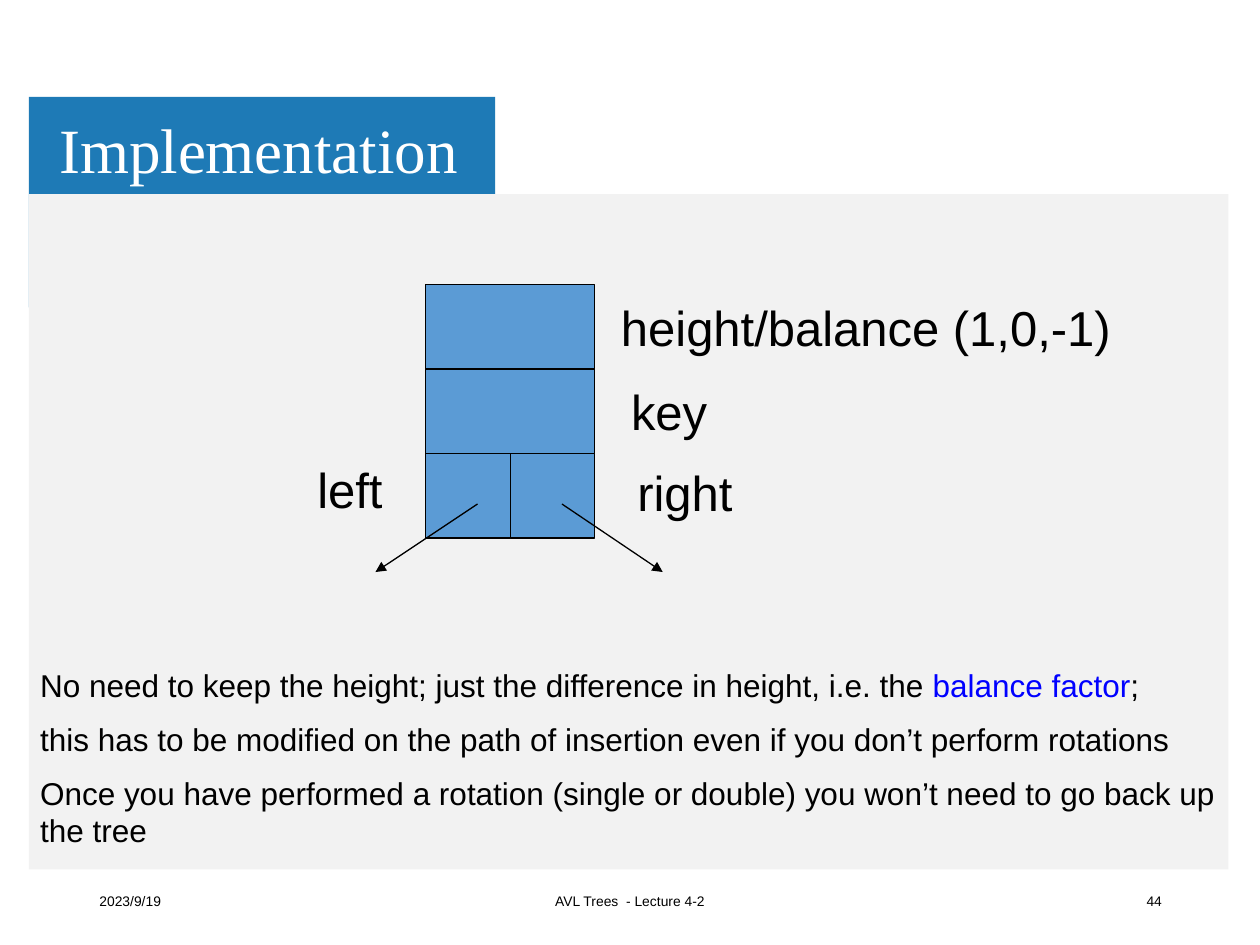
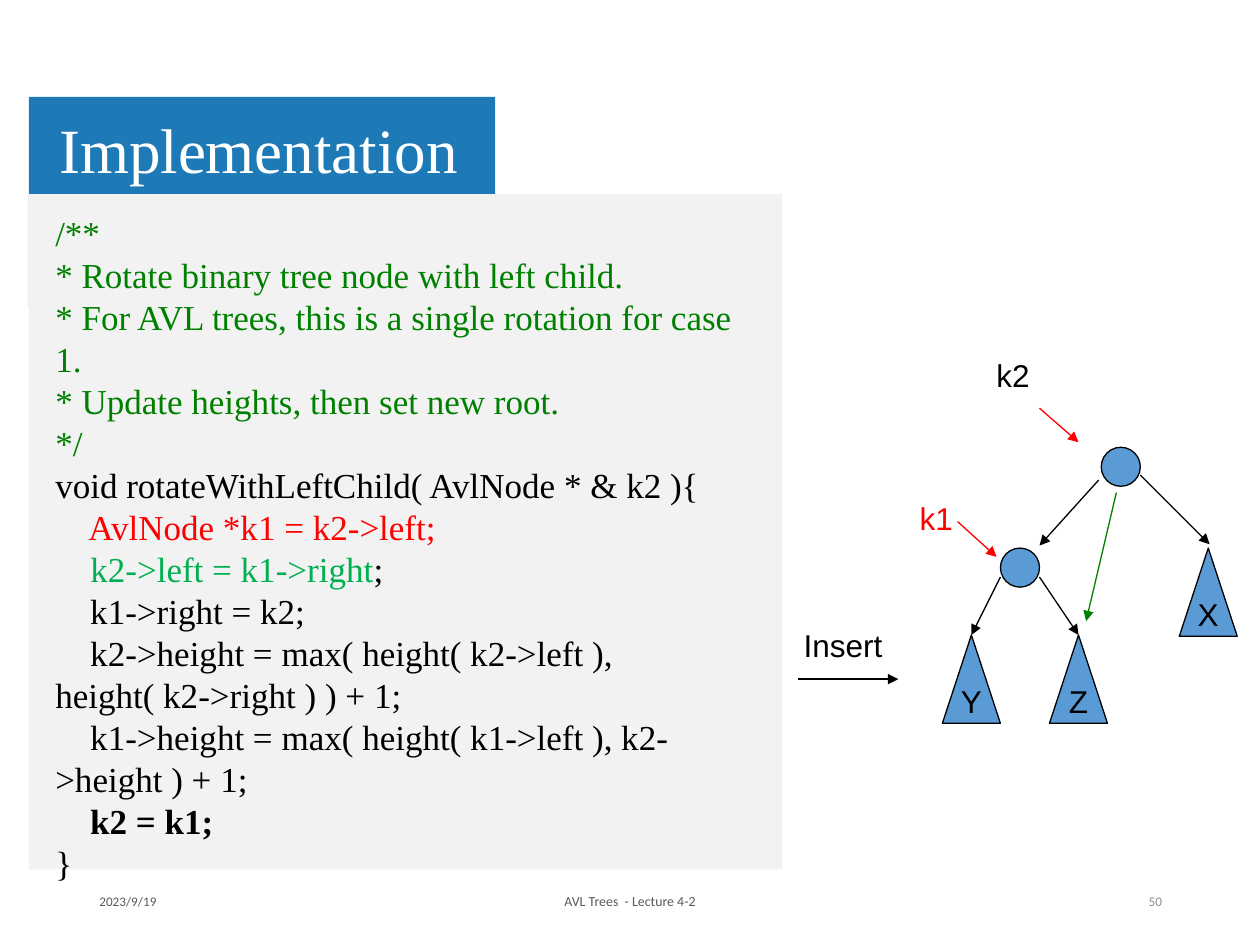
"""Build two AVL tree slides: the node layout and the single rotation code."""
from lxml import etree
from pptx import Presentation
from pptx import util as u
from pptx.dml.color import RGBColor
from pptx.enum import shapes, text
from pptx.oxml.ns import qn

PX = u.Inches(1) // 100
BLACK = RGBColor(0x00, 0x00, 0x00)
WHITE = RGBColor(0xFF, 0xFF, 0xFF)
BAND_BLUE = RGBColor(0x1E, 0x7A, 0xB6)
PANEL_GRAY = RGBColor(0xF2, 0xF2, 0xF2)
NODE_BLUE = RGBColor(0x5B, 0x9B, 0xD5)
LINK_BLUE = RGBColor(0x00, 0x00, 0xFF)
RED = RGBColor(0xFF, 0x00, 0x00)
COMMENT_GREEN = RGBColor(0x00, 0x80, 0x00)
CODE_GREEN = RGBColor(0x00, 0xB0, 0x50)
FOOTER_GRAY = RGBColor(0x59, 0x59, 0x59)
NUMBER_GRAY = RGBColor(0x8C, 0x8C, 0x8C)
SERIF, SANS, FOOTER_SANS = "Times New Roman", "Arial", "Calibri"
LEFT, CENTER, RIGHT = text.PP_ALIGN.LEFT, text.PP_ALIGN.CENTER, text.PP_ALIGN.RIGHT
RECTANGLE = shapes.MSO_SHAPE.RECTANGLE
OVAL = shapes.MSO_SHAPE.OVAL
TRIANGLE = shapes.MSO_SHAPE.ISOSCELES_TRIANGLE
CELL = 67
NODE = 31
SUBTREE_WIDTH, SUBTREE_HEIGHT = 46, 70

NOTES = [
    [("No need to keep the height; just the difference in height, i.e. the ", BLACK),
     ("balance factor", LINK_BLUE), (";", BLACK)],
    [("this has to be modified on the path of insertion even if you don’t perform rotations", BLACK)],
    [("Once you have performed a rotation (single or double) you won’t need to go back up the tree", BLACK)],
]
CODE = [
    [("/**", COMMENT_GREEN)],
    [("* Rotate binary tree node with left child.", COMMENT_GREEN)],
    [("* For AVL trees, this is a single rotation for case 1.", COMMENT_GREEN)],
    [("* Update heights, then set new root.", COMMENT_GREEN)],
    [("*/", COMMENT_GREEN)],
    [("void rotateWithLeftChild( AvlNode * & k2 ){", BLACK)],
    [("    AvlNode *k1 = k2->left;", RED)],
    [("    ", BLACK), ("k2->left = k1->right", CODE_GREEN), (";", BLACK)],
    [("    k1->right = k2;", BLACK)],
    [("    k2->height = max( height( k2->left ), height( k2->right ) ) + 1;", BLACK)],
    [("    k1->height = max( height( k1->left ), k2->height ) + 1;", BLACK)],
    [("    k2 = k1;", BLACK)],
    [("}", BLACK)],
]
BOLD_CODE_LINE = 11


def scale(*lengths):
    return [length * PX for length in lengths]


def style_font(font, size, name, color):
    font.size, font.name = u.Pt(size), name
    font.color.rgb = color


def add_box(slide, kind, box, fill, outline=None):
    shape = slide.shapes.add_shape(kind, *scale(*box))
    shape.shadow.inherit = False
    shape.fill.solid()
    shape.fill.fore_color.rgb = fill
    if outline is None:
        shape.line.fill.background()
    else:
        shape.line.color.rgb = outline
        shape.line.width = u.Pt(0.75)
    return shape


def add_paragraphs(slide, box, lines, size, name, gap=0):
    frame = slide.shapes.add_textbox(*scale(*box)).text_frame
    frame.word_wrap = True
    for index, line in enumerate(lines):
        paragraph = frame.paragraphs[0] if index == 0 else frame.add_paragraph()
        if index and gap:
            paragraph.space_before = u.Pt(gap)
        for words, color in line:
            run = paragraph.add_run()
            run.text = words
            style_font(run.font, size, name, color)
    return frame


def add_label(slide, box, words, size, name=SANS, color=BLACK, align=LEFT):
    frame = add_paragraphs(slide, box, [[(words, color)]], size, name)
    frame.paragraphs[0].alignment = align
    return frame


def add_arrow(slide, start, end, color=BLACK, target=None):
    arrow = slide.shapes.add_connector(shapes.MSO_CONNECTOR.STRAIGHT, *scale(*start, *end))
    arrow.line.color.rgb = color
    arrow.line.width = u.Pt(0.75)
    if target is not None:
        arrow.end_connect(target, 0)
    properties = arrow._element.spPr
    etree.SubElement(properties.find(qn("a:ln")), qn("a:tailEnd"), type="triangle")
    etree.SubElement(properties, qn("a:effectLst"))


def add_subtree(slide, left, top, name):
    triangle = add_box(slide, TRIANGLE, (left, top, SUBTREE_WIDTH, SUBTREE_HEIGHT), NODE_BLUE, BLACK)
    frame = triangle.text_frame
    frame.text = name
    frame.word_wrap = False
    frame.vertical_anchor = text.MSO_ANCHOR.MIDDLE
    paragraph = frame.paragraphs[0]
    paragraph.alignment = CENTER
    style_font(paragraph.runs[0].font, 18, SANS, BLACK)
    return triangle


def add_base(presentation, panel_width, number, footer_font, footer_color, number_color, small_size):
    slide = presentation.slides.add_slide(presentation.slide_layouts[6])
    add_box(slide, RECTANGLE, (23, 77, 370, 167), BAND_BLUE)
    add_box(slide, RECTANGLE, (23, 154, panel_width, 536), PANEL_GRAY)
    title = add_label(slide, (40, 82, 772, 79), "Implementation", 36, SERIF, WHITE)
    title.vertical_anchor = text.MSO_ANCHOR.MIDDLE
    title.margin_left, title.margin_right, title.margin_top, title.margin_bottom = scale(7, 7, 4, 4)
    title.paragraphs[0].line_spacing = 0.9
    footers = [
        (69, 225, "2023/9/19", small_size, footer_color, LEFT),
        (331, 338, "AVL Trees  - Lecture 4-2", 7.9, footer_color, CENTER),
        (707, 225, number, small_size, number_color, RIGHT),
    ]
    for left, width, words, size, color, align in footers:
        frame = add_label(slide, (left, 695, width, 40), words, size, footer_font, color, align)
        frame.vertical_anchor = text.MSO_ANCHOR.MIDDLE
    return slide


def build_node_slide(presentation):
    slide = add_base(presentation, 952, "44", SANS, BLACK, BLACK, 7.9)
    add_paragraphs(slide, (22, 524, 954, 161), NOTES, 18, SANS, gap=9)
    left, top = 338, 226
    for column, row, span in [(0, 2, 1), (1, 2, 1), (0, 1, 2), (0, 0, 2)]:
        box = (left + column * CELL, top + row * CELL, span * CELL, CELL)
        add_box(slide, RECTANGLE, box, NODE_BLUE, BLACK)
    add_arrow(slide, (379, 400), (298, 454))
    add_arrow(slide, (446, 400), (526, 454))
    for x, y, width, words in [(483, 231, 427, "height/balance (1,0,-1)"), (491, 298, 112, "key"),
                               (496, 362, 130, "right"), (242, 360, 102, "left")]:
        add_label(slide, (x, y, width, 57), words, 28)


def build_rotation_slide(presentation):
    slide = add_base(presentation, 598, "50", FOOTER_SANS, FOOTER_GRAY, NUMBER_GRAY, 7.5)
    code = add_paragraphs(slide, (34, 163, 579, 515), CODE, 20, SERIF)
    code.paragraphs[BOLD_CODE_LINE].runs[0].font.bold = True
    for left, top in [(874, 355), (794, 435)]:
        add_box(slide, OVAL, (left, top, NODE, NODE), NODE_BLUE, BLACK)
    add_subtree(slide, 936, 435, "X")
    subtree_y = add_subtree(slide, 748, 504, "Y")
    subtree_z = add_subtree(slide, 833, 504, "Z")
    add_arrow(slide, (794, 458), (771, 504), target=subtree_y)
    add_arrow(slide, (825, 458), (856, 504), target=subtree_z)
    for start, end, color in [
        ((872, 381), (825, 433), BLACK),
        ((905, 377), (960, 432), BLACK),
        ((633, 539), (713, 539), BLACK),
        ((825, 324), (856, 351), RED),
        ((760, 414), (791, 442), RED),
        ((886, 391), (862, 493), COMMENT_GREEN),
    ]:
        add_arrow(slide, start, end, color)
    for left, top, width, words, color in [(781, 278, 60, "k2", BLACK), (720, 391, 60, "k1", RED),
                                           (628, 492, 93, "Insert", BLACK)]:
        add_label(slide, (left, top, width, 40), words, 18, color=color)


def main():
    presentation = Presentation()
    presentation.slide_width, presentation.slide_height = scale(1000, 750)
    build_node_slide(presentation)
    build_rotation_slide(presentation)
    presentation.save("out.pptx")


if __name__ == "__main__":
    main()
